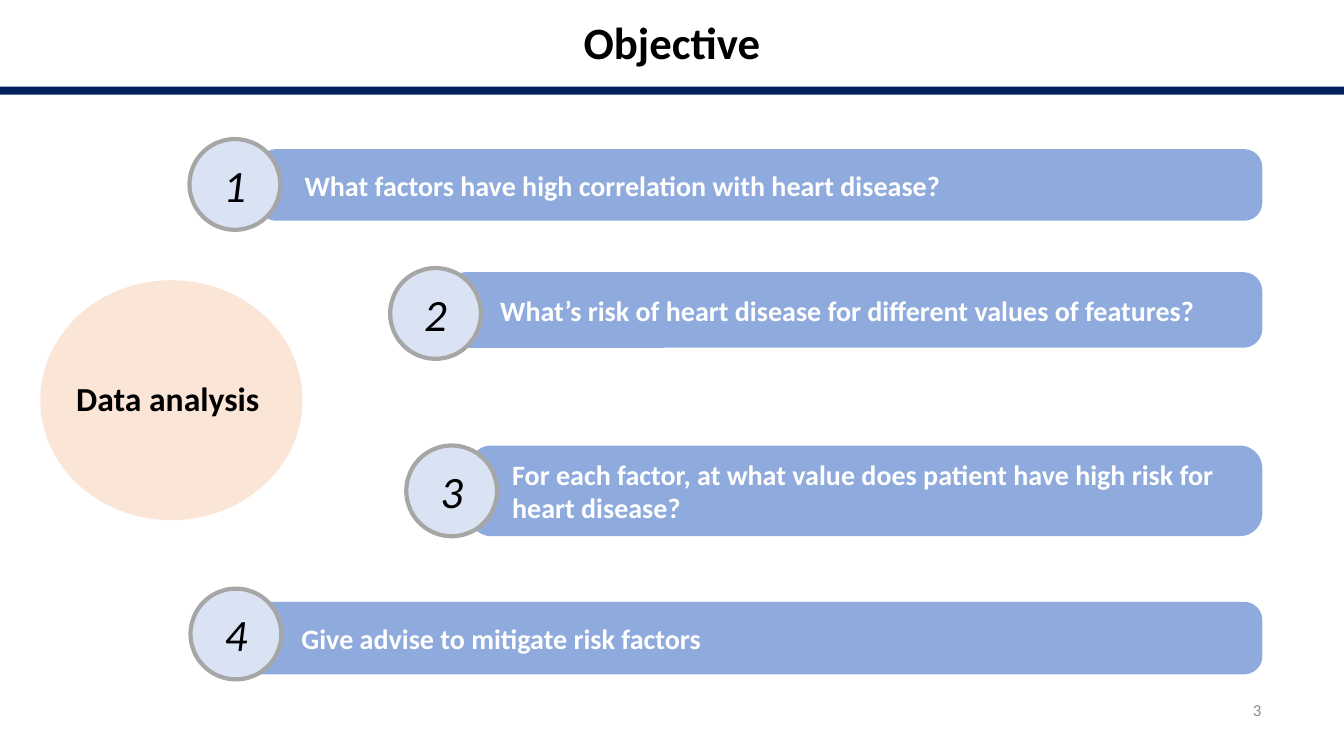
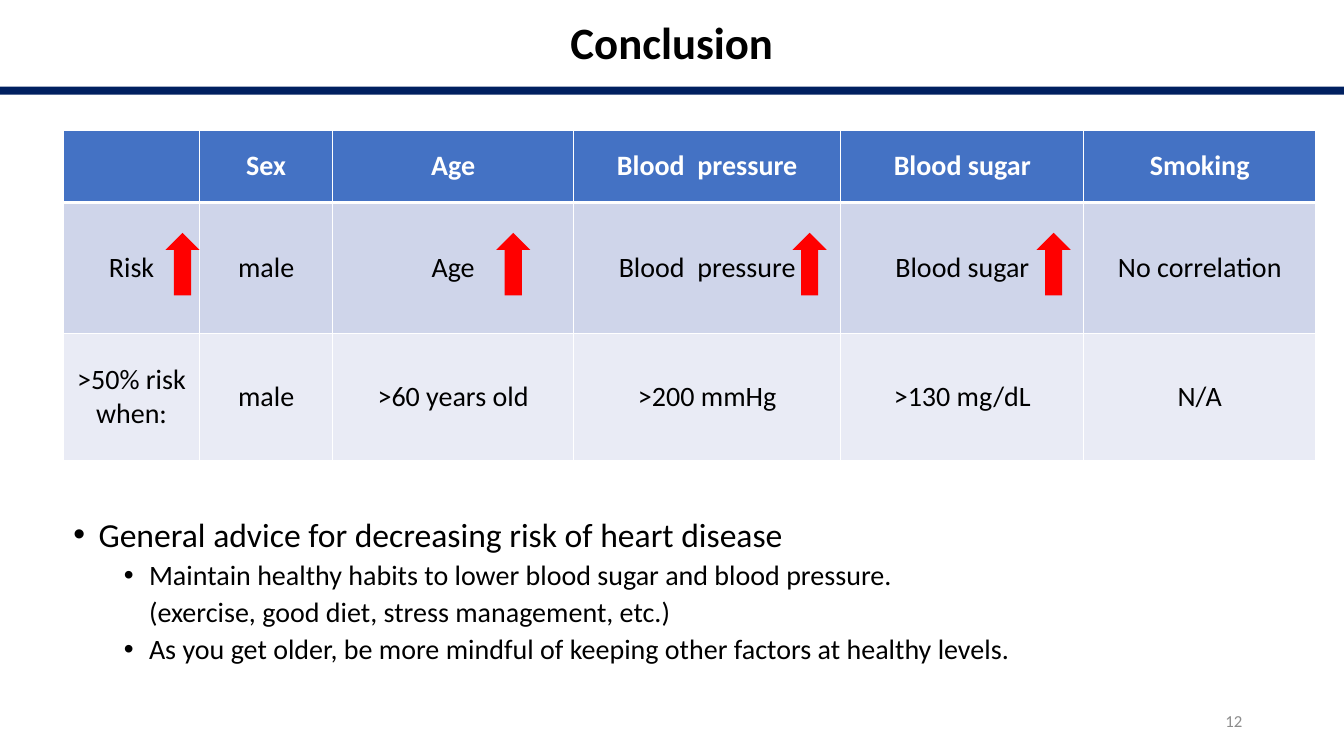
import dataclasses
import typing

import lxml.etree
import pptx
import pptx.dml.color
import pptx.enum.shapes
import pptx.enum.text
import pptx.oxml.ns
import pptx.util

Inches = pptx.util.Inches
Pt = pptx.util.Pt
RGB = pptx.dml.color.RGBColor
Kind = pptx.enum.shapes.MSO_SHAPE
Align = pptx.enum.text.PP_ALIGN
Anchor = pptx.enum.text.MSO_ANCHOR
qn = pptx.oxml.ns.qn

# Colours
NAVY = RGB(0x00, 0x20, 0x60)
BLACK = RGB(0x00, 0x00, 0x00)
WHITE = RGB(0xFF, 0xFF, 0xFF)
GREY = RGB(0x8C, 0x8C, 0x8C)
SILVER = RGB(0xA6, 0xA6, 0xA6)
SKY = RGB(0x8F, 0xAA, 0xDC)
MIST = RGB(0xDA, 0xE3, 0xF3)
PEACH = RGB(0xFB, 0xE5, 0xD6)
RED = RGB(0xFF, 0x00, 0x00)
HEAD = RGB(0x44, 0x72, 0xC4)
ROWS = (HEAD, RGB(0xCF, 0xD5, 0xEA), RGB(0xE9, 0xEB, 0xF5))

# Sizes in inches
WIDE, HIGH = 13.33, 7.5
BAR_END = 12.52
RING = 0.9

# Text formats
TITLE = {"size": Pt(32), "bold": True}
DIGIT = {"size": Pt(32), "italic": True}
HUB = {"size": Pt(24), "bold": True}
LABEL = {"size": Pt(20), "bold": True}
PLAIN = {"size": Pt(20), "bold": False}
LEAD = {"size": Pt(24)}
FOOT = {"size": Pt(12)}
CENTRE = {"alignment": Align.CENTER}
TIGHT = {"alignment": Align.CENTER, "line_spacing": 0.9}
LEFT = {"alignment": Align.LEFT}
RIGHT = {"alignment": Align.RIGHT}


@dataclasses.dataclass
class Goal:
    text: str
    bar: float
    top: float
    high: float
    ring: float
    crown: float
    start: float


@dataclasses.dataclass
class Point:
    text: str
    form: dict
    gap: int
    left: float
    hang: float
    level: int = 1


GOALS = (
    Goal("What factors have high correlation with heart disease?",
         2.56, 1.48, 0.71, 1.88, 1.38, 3.02),
    Goal("What’s risk of heart disease for different values of features?",
         4.43, 2.7, 0.75, 3.87, 2.66, 4.96),
    Goal("For each factor, at what value does patient have high risk for "
         "heart disease?", 4.65, 4.42, 0.9, 4.03, 4.42, 5.08),
    Goal("Give advise to mitigate risk factors",
         2.34, 5.97, 0.72, 1.89, 5.84, 2.99),
)
GRID = (
    ("", "Sex", "Age", "Blood  pressure", "Blood sugar", "Smoking"),
    ("Risk", "male", "Age", "Blood  pressure", "Blood sugar", "No correlation"),
    (">50% risk when:", "male", ">60 years old", ">200 mmHg", ">130 mg/dL", "N/A"),
)
COLS = (1.35, 1.32, 2.39, 2.65, 2.41, 2.3)
TALL = (0.72, 1.3, 1.26)
RISES = (1.64, 4.92, 7.86, 10.28)
POINTS = (
    Point("General advice for decreasing risk of heart disease", LEAD, 10, 0.25, 0.25, 0),
    Point("Maintain healthy habits to lower blood sugar and blood pressure.",
          PLAIN, 5, 0.75, 0.25),
    Point("(exercise, good diet, stress management, etc.)", PLAIN, 5, 0.75, 0),
    Point("As you get older, be more mindful of keeping other factors at healthy levels.",
          PLAIN, 5, 0.75, 0.25),
)


def apply(target: typing.Any, form: dict) -> None:
    for name, value in form.items():
        setattr(target, name, value)


def write(para: typing.Any, text: str, form: dict, lay: dict, ink: RGB = BLACK) -> None:
    apply(para, lay)
    run = para.add_run()
    run.text = text
    apply(run.font, {"name": "Calibri", **form})
    run.font.color.rgb = ink


def shape(slide: typing.Any, kind: typing.Any, left: float, top: float,
          wide: float, high: float, fill: RGB) -> typing.Any:
    item = slide.shapes.add_shape(kind, Inches(left), Inches(top), Inches(wide), Inches(high))
    item.shadow.inherit = False
    item.fill.solid()
    item.fill.fore_color.rgb = fill
    item.line.fill.background()
    apply(item.text_frame, {"word_wrap": True, "vertical_anchor": Anchor.MIDDLE})
    return item


def box(slide: typing.Any, left: float, top: float, wide: float, high: float,
        anchor: typing.Any = Anchor.TOP) -> typing.Any:
    item = slide.shapes.add_textbox(Inches(left), Inches(top), Inches(wide), Inches(high))
    apply(item.text_frame, {"word_wrap": True, "vertical_anchor": anchor})
    return item.text_frame


def frame(deck: typing.Any, title: str, page: str, left: float, top: float) -> typing.Any:
    """Add a slide with the shared band, title and page number."""
    slide = deck.slides.add_slide(deck.slide_layouts[6])
    shape(slide, Kind.RECTANGLE, 0, 0.86, WIDE, 0.08, NAVY)
    write(box(slide, 0, 0.16, WIDE, 0.78).paragraphs[0], title, TITLE, TIGHT)
    foot = box(slide, left, top, 3, 0.4, Anchor.MIDDLE)
    write(foot.paragraphs[0], page, FOOT, RIGHT, GREY)
    return slide


def draw_goal(slide: typing.Any, rank: int, goal: Goal) -> None:
    bar = shape(slide, Kind.ROUNDED_RECTANGLE, goal.bar, goal.top,
                BAR_END - goal.bar, goal.high, SKY)
    bar.adjustments[0] = 0.25
    # The rounded shape adds its own inset to the text area
    inset = 0.25 * goal.high * 0.29
    bar.text_frame.margin_left = Inches(goal.start - goal.bar - inset)
    bar.text_frame.margin_right = Inches(0.05)
    write(bar.text_frame.paragraphs[0], goal.text, LABEL, LEFT, WHITE)

    ring = shape(slide, Kind.OVAL, goal.ring, goal.crown, RING, RING, MIST)
    ring.line.color.rgb = SILVER
    ring.line.width = Pt(3)
    ring.text_frame.word_wrap = False
    write(ring.text_frame.paragraphs[0], str(rank), DIGIT, CENTRE)


def edge(cell: typing.Any, sides: dict) -> None:
    """Draw white cell borders, given side names and widths in points."""
    props = cell._tc.get_or_add_tcPr()
    for spot, (side, width) in enumerate(sides.items()):
        line = lxml.etree.Element(qn(f"a:ln{side}"), w=str(Pt(width)))
        fill = lxml.etree.SubElement(line, qn("a:solidFill"))
        lxml.etree.SubElement(fill, qn("a:srgbClr"), val=str(WHITE))
        props.insert(spot, line)


def draw_grid(slide: typing.Any) -> None:
    grid = slide.shapes.add_table(len(GRID), len(COLS), Inches(0.63), Inches(1.29),
                                  Inches(sum(COLS)), Inches(sum(TALL))).table
    for col, wide in zip(grid.columns, COLS):
        col.width = Inches(wide)
    for row, high in zip(grid.rows, TALL):
        row.height = Inches(high)
    for r, texts in enumerate(GRID):
        form, ink = (PLAIN, BLACK) if r else (LABEL, WHITE)
        for c, text in enumerate(texts):
            cell = grid.cell(r, c)
            cell.vertical_anchor = Anchor.MIDDLE
            cell.fill.solid()
            cell.fill.fore_color.rgb = ROWS[r]
            edge(cell, {"L": 1, "R": 1, "T": 3 if r == 1 else 1, "B": 1 if r else 3})
            if text:
                write(cell.text_frame.paragraphs[0], text, form, CENTRE, ink)


def draw_points(slide: typing.Any) -> None:
    body = box(slide, 0.63, 5.09, 11.5, 1.8)
    for spot, point in enumerate(POINTS):
        para = body.add_paragraph() if spot else body.paragraphs[0]
        lay = {"level": point.level, "line_spacing": 0.9, "space_before": Pt(point.gap)}
        write(para, point.text, point.form, lay)
        props = para._p.get_or_add_pPr()
        props.set("marL", str(Inches(point.left)))
        props.set("indent", str(-Inches(point.hang)))
        if point.hang:
            lxml.etree.SubElement(props, qn("a:buFont"), typeface="Arial")
            lxml.etree.SubElement(props, qn("a:buChar"), char="•")


def main() -> None:
    deck = pptx.Presentation()
    apply(deck, {"slide_width": Inches(WIDE), "slide_height": Inches(HIGH)})

    # Objective
    slide = frame(deck, "Objective", "3", 9.61, 6.84)
    for rank, goal in enumerate(GOALS, 1):
        draw_goal(slide, rank, goal)
    hub = shape(slide, Kind.OVAL, 0.4, 2.78, 2.6, 2.38, PEACH).text_frame
    apply(hub, {"margin_left": 0, "margin_right": Inches(0.07)})
    hub.word_wrap = False
    write(hub.paragraphs[0], "Data analysis", HUB, TIGHT)

    # Conclusion
    slide = frame(deck, "Conclusion", "12", 9.42, 6.95)
    draw_grid(slide)
    for left in RISES:
        shape(slide, Kind.UP_ARROW, left, 2.31, 0.34, 0.62, RED)
    draw_points(slide)

    deck.save("out.pptx")


if __name__ == "__main__":
    main()
